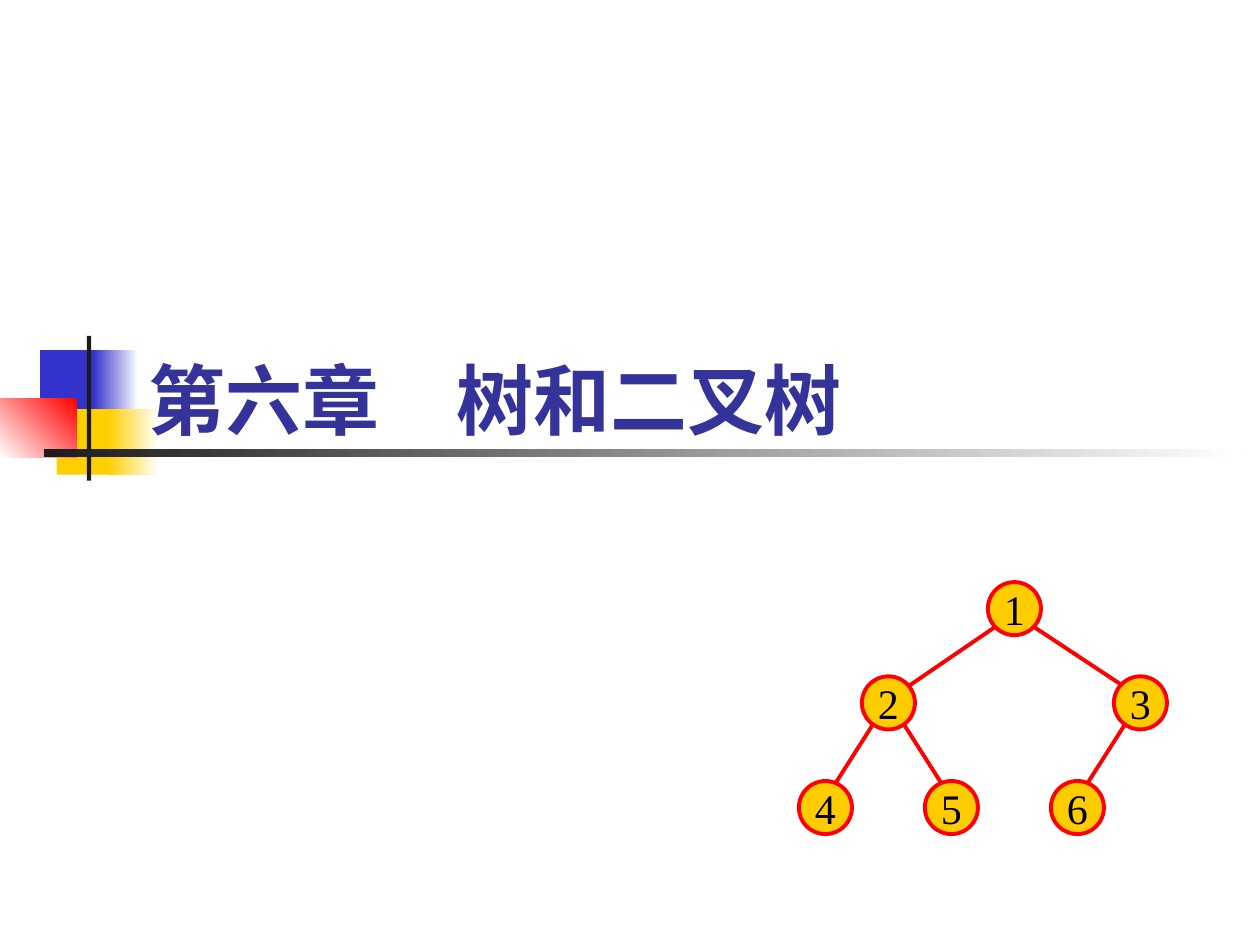
from lxml.etree import SubElement
from pptx import Presentation
from pptx.dml.color import RGBColor
from pptx.enum.shapes import MSO_CONNECTOR, MSO_SHAPE
from pptx.enum.text import MSO_ANCHOR, PP_ALIGN
from pptx.oxml.ns import qn
from pptx.util import Cm, Pt

TITLE = "第六章　树和二叉树"
TITLE_BOX = (2.74, 5.92, 21.59, 3.17)

DECORATIONS = [
    ((0.81, 7.06, 1.22, 1.32), ["3333CC"], 0),
    ((1.88, 7.06, 0.91, 1.32), ["3333CC", "FFFFFF"], 0),
    ((1.14, 8.25, 1.17, 1.32), ["FFCF01"], 0),
    ((2.18, 8.25, 1.02, 1.32), ["FFCF01", "FFFFFF"], 0),
    ((0, 8.04, 1.55, 1.18), ["FF0000", "FFFFFF"], 225),
    ((1.75, 6.77, 0.09, 2.92), ["1C1C1C"], 0),
    ((0.89, 9.06, 24.16, 0.16), ["1C1C1C", "FFFFFF"], 0),
]

NODES = {
    "2": (1, 1), "4": (0, 2), "5": (2, 2),
    "1": (3, 0), "3": (5, 1), "6": (4, 2),
}
EDGES = [
    ("1", "3", (0.32, 0.32), (0.33, 0.33)),
    ("1", "2", (0.32, 0.32), (0.1, 0.13)),
    ("2", "5", (0.1, 0.1), (0.1, 0.33)),
    ("3", "6", (0.1, 0.1), (0.1, 0.33)),
    ("2", "4", (0.1, 0.1), (0.1, 0.33)),
]
TREE_LEFT = 16.64
COLUMN_STEP = 1.27
LEVELS = [12.27, 14.17, 16.28]
DIAMETER = 1.07
RED = "FF0000"


def color(value):
    return RGBColor.from_string(value)


def lengths(values):
    return [Cm(value) for value in values]


def center(label):
    column, level = NODES[label]
    return TREE_LEFT + column * COLUMN_STEP, LEVELS[level]


def style_text(para, font_name, size, text_color, bold=False):
    for span in para.runs:
        span.font.name = font_name
        span.font.size = Pt(size)
        span.font.bold = bold
        span.font.color.rgb = color(text_color)


def add_decoration(slide, place, colors, angle):
    shape = slide.shapes.add_shape(MSO_SHAPE.RECTANGLE, *lengths(place))
    shape.shadow.inherit = False
    shape.line.fill.background()
    if len(colors) == 1:
        shape.fill.solid()
        shape.fill.fore_color.rgb = color(colors[0])
        return
    shape.fill.gradient()
    shape.fill.gradient_angle = angle
    for stop, value in zip(shape.fill.gradient_stops, colors):
        stop.color.rgb = color(value)


def add_title(slide):
    box = slide.shapes.add_textbox(*lengths(TITLE_BOX))
    frame = box.text_frame
    frame.word_wrap = True
    frame.vertical_anchor = MSO_ANCHOR.BOTTOM
    frame.text = TITLE
    style_text(frame.paragraphs[0], "Karla", 44, "333399", True)


def add_edge(slide, parent, child, start_inset, end_inset):
    start_x, start_y = center(parent)
    end_x, end_y = center(child)
    side = 1 if end_x > start_x else -1
    ends = (
        start_x + side * start_inset[0], start_y + start_inset[1],
        end_x - side * end_inset[0], end_y - end_inset[1],
    )
    edge = slide.shapes.add_connector(MSO_CONNECTOR.STRAIGHT, *lengths(ends))
    edge.line.color.rgb = color(RED)
    edge.line.width = Pt(2.25)
    SubElement(edge._element.spPr, qn("a:effectLst"))


def add_node(slide, label):
    x, y = center(label)
    place = (x - DIAMETER / 2, y - DIAMETER / 2, DIAMETER, DIAMETER)
    node = slide.shapes.add_shape(MSO_SHAPE.OVAL, *lengths(place))
    node.shadow.inherit = False
    node.fill.solid()
    node.fill.fore_color.rgb = color("FFCC00")
    node.line.color.rgb = color(RED)
    node.line.width = Pt(2.25)
    frame = node.text_frame
    frame.word_wrap = False
    frame.vertical_anchor = MSO_ANCHOR.MIDDLE
    frame.text = label
    para = frame.paragraphs[0]
    para.alignment = PP_ALIGN.CENTER
    style_text(para, "Times New Roman", 24, "000000")


def main():
    deck = Presentation()
    deck.slide_width, deck.slide_height = Cm(25.4), Cm(19.05)
    slide = deck.slides.add_slide(deck.slide_layouts[6])
    for decoration in DECORATIONS:
        add_decoration(slide, *decoration)
    add_title(slide)
    for edge in EDGES:
        add_edge(slide, *edge)
    for label in NODES:
        add_node(slide, label)
    deck.save("out.pptx")


if __name__ == "__main__":
    main()
